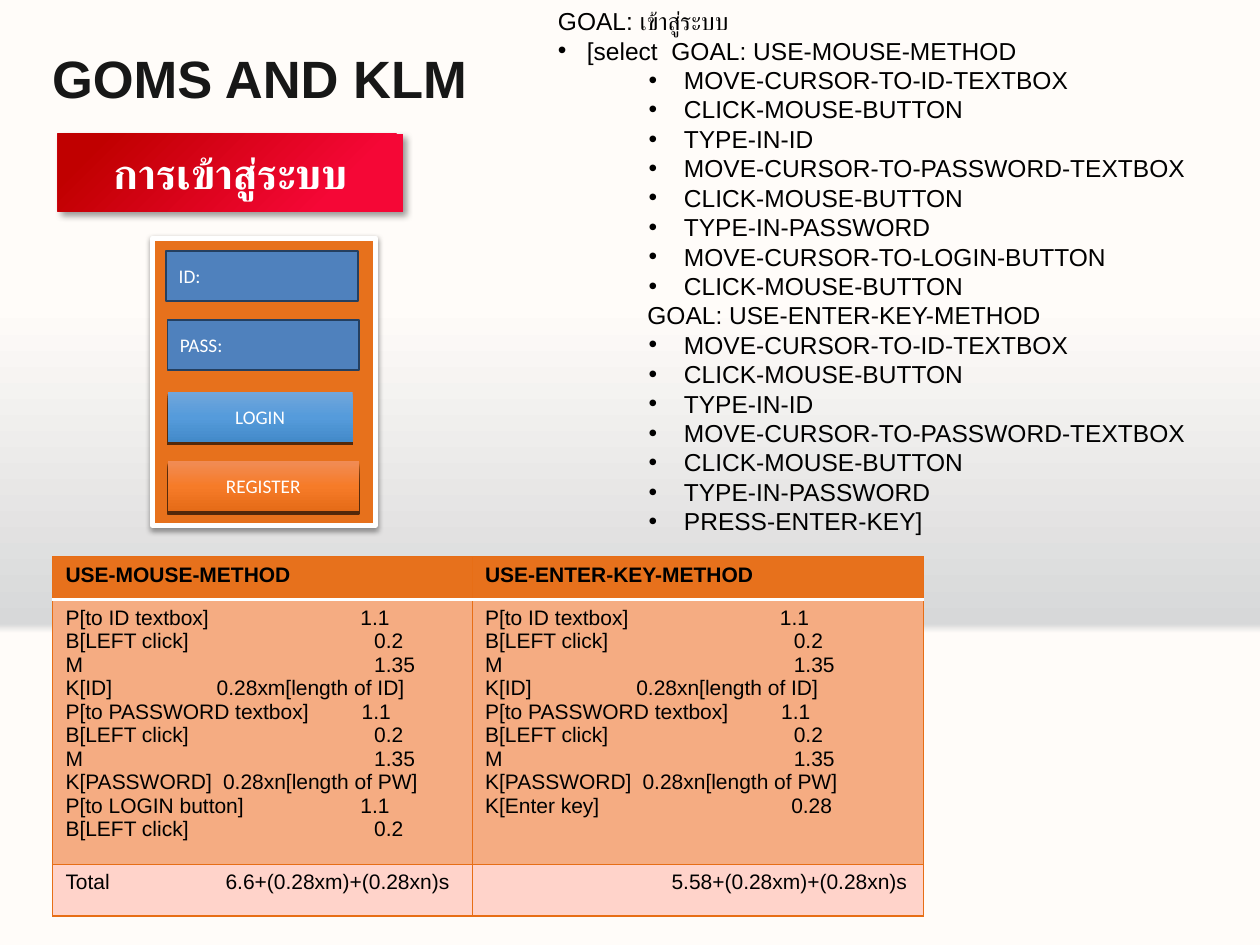
import pptx
import pptx.util
import pptx.dml.color
import pptx.enum.shapes
import pptx.enum.text
import pptx.oxml
import pptx.oxml.ns

Inches, Pt = pptx.util.Inches, pptx.util.Pt
RGB = pptx.dml.color.RGBColor
ALIGN, ANCHOR = pptx.enum.text.PP_ALIGN, pptx.enum.text.MSO_ANCHOR
qn = pptx.oxml.ns.qn
NS = pptx.oxml.ns.nsdecls("a")

BLACK, WHITE, INK = RGB(0, 0, 0), RGB(255, 255, 255), RGB(0x17, 0x17, 0x17)
CREAM, GREY = RGB(0xFF, 0xFC, 0xF9), RGB(0xD7, 0xD8, 0xD9)
RED, DARK = RGB(0xF5, 0x07, 0x36), RGB(0xC0, 0, 0)
ORANGE, EDGE = RGB(0xE7, 0x71, 0x1C), RGB(0xE7, 0x6E, 0x16)
PEACH, PINK = RGB(0xF5, 0xAC, 0x82), RGB(0xFF, 0xD3, 0xCA)
BLUE, NAVY = RGB(0x4F, 0x81, 0xBD), RGB(0x24, 0x3F, 0x60)
SKY = [(0, RGB(0x71, 0xA6, 0xDB)), (50, RGB(0x55, 0x9B, 0xDB)), (100, RGB(0x43, 0x8A, 0xC9))]
AMBER = [(0, RGB(0xF1, 0x8C, 0x55)), (50, RGB(0xF6, 0x7B, 0x28)), (100, RGB(0xE5, 0x6B, 0x17))]

# Content: login form, goal tree, timing table
FIELDS = [("ID:", 1.32, 1.99), ("PASS:", 1.33, 2.54)]
BUTTONS = [("LOGIN", 3.11, 1.47, SKY), ("REGISTER", 3.66, 1.52, AMBER)]

SIGN_IN = ["MOVE-CURSOR-TO-ID-TEXTBOX", "CLICK-MOUSE-BUTTON", "TYPE-IN-ID",
           "MOVE-CURSOR-TO-PASSWORD-TEXTBOX", "CLICK-MOUSE-BUTTON", "TYPE-IN-PASSWORD"]
GOALS = [
    ("top", ["GOAL: เข้าสู่ระบบ"]),
    ("pick", ["[select  GOAL: USE-MOUSE-METHOD"]),
    ("step", SIGN_IN + ["MOVE-CURSOR-TO-LOGIN-BUTTON", "CLICK-MOUSE-BUTTON"]),
    ("sub", ["GOAL: USE-ENTER-KEY-METHOD"]),
    ("step", SIGN_IN + ["PRESS-ENTER-KEY]"]),
]
LEVELS = {"top": (0, 0), "pick": (0.23, 0.23), "sub": (0.71, 0), "step": (1, 0.28)}

HEADS = ["USE-MOUSE-METHOD", "USE-ENTER-KEY-METHOD"]
CLICK, THINK = ("B[LEFT click]", "0.2", 2.45), ("M", "1.35", 2.45)


def times(unit):
    """Operators shared by both methods: label, time, tab stop."""
    return [("P[to ID textbox]", "1.1", 2.34), CLICK, THINK,
            ("K[ID]", f"0.28x{unit}[length of ID]", 1.2),
            ("P[to PASSWORD textbox]", "1.1", 2.35), CLICK, THINK,
            ("K[PASSWORD]", "0.28xn[length of PW]", 1.25)]


ROWS = [
    (0.34, ORANGE, True, [[(head, "", 0)] for head in HEADS]),
    (2.1, PEACH, False, [times("m") + [("P[to LOGIN button]", "1.1", 2.34), CLICK],
                         times("n") + [("K[Enter key]", "0.28", 2.43)]]),
    (0.41, PINK, False, [[("Total", "6.6+(0.28xm)+(0.28xn)s", 1.27)],
                         [("", "5.58+(0.28xm)+(0.28xn)s", 1.48)]]),
]
COLS = [3.33, 3.58]


# Helpers
def xml(tag, body="", **attrs):
    given = "".join(f' {key}="{val}"' for key, val in attrs.items())
    return pptx.oxml.parse_xml(f"<a:{tag} {NS}{given}>{body}</a:{tag}>")


def solid(color):
    return f'<a:solidFill><a:srgbClr val="{color}"/></a:solidFill>'


def shade(fill, root, stops, angle):
    fill.gradient()
    grad = next(root.iter(qn("a:gradFill")))
    body = "".join(f'<a:gs pos="{pos * 1000}"><a:srgbClr val="{color}"/></a:gs>'
                   for pos, color in stops)
    grad.replace(grad.find(qn("a:gsLst")), xml("gsLst", body))
    grad.find(qn("a:lin")).set("ang", str(angle * 60000))


def cast(shape, alpha, blur, dist, angle):
    tint = f'<a:srgbClr val="000000"><a:alpha val="{alpha * 1000}"/></a:srgbClr>'
    drop = (f'<a:outerShdw blurRad="{Pt(blur)}" dist="{Pt(dist)}" dir="{angle * 60000}"'
            f' algn="ctr" rotWithShape="0">{tint}</a:outerShdw>')
    effects = shape._element.spPr.find(qn("a:effectLst"))
    effects.append(pptx.oxml.parse_xml(drop.replace("<a:outerShdw", f"<a:outerShdw {NS}", 1)))


def write(para, text, size, color, font="Arial", bold=False):
    run = para.add_run()
    run.text = text
    run.font.size, run.font.name, run.font.bold = Pt(size), font, bold
    run.font.color.rgb = color


def box(slide, place, fill=None, line=None, width=1):
    shape = slide.shapes.add_shape(pptx.enum.shapes.MSO_SHAPE.RECTANGLE, *map(Inches, place))
    shape.shadow.inherit = False
    if isinstance(fill, RGB):
        shape.fill.solid()
        shape.fill.fore_color.rgb = fill
    if line is None:
        shape.line.fill.background()
    else:
        shape.line.color.rgb, shape.line.width = line, Pt(width)
    return shape


def label(shape, text, align):
    frame = shape.text_frame
    frame.vertical_anchor = ANCHOR.MIDDLE
    para = frame.paragraphs[0]
    para.alignment, para.space_after = align, Pt(10)
    write(para, text, 11, WHITE, "Calibri")


def heading(slide, place, text, size, color, font, spacing=1.0):
    frame = slide.shapes.add_textbox(*map(Inches, place)).text_frame
    frame.word_wrap, frame.vertical_anchor = True, ANCHOR.MIDDLE
    frame.margin_left = frame.margin_right = 0
    para = frame.paragraphs[0]
    para.alignment, para.line_spacing = ALIGN.CENTER, spacing
    write(para, text, size, color, font, True)


def main():
    deck = pptx.Presentation()
    deck.slide_width, deck.slide_height = Inches(10), Inches(7.5)
    slide = deck.slides.add_slide(deck.slide_layouts[6])
    shade(slide.background.fill, slide._element, [(33, CREAM), (34, GREY), (68, CREAM)], 270)

    # Title and red banner
    heading(slide, (0.27, 0.31, 3.58, 0.66), "GOMS AND KLM", 30, INK, "Arial", 0.95)
    banner = box(slide, (0.46, 1.06, 2.74, 0.62))
    shade(banner.fill, banner._element, [(11, RED), (20, RED), (89, DARK)], 225)
    cast(banner, 40, 4, 3, 45)
    heading(slide, (0.5, 1.07, 2.66, 0.6), "การเข้าสู่ระบบ", 24, WHITE, "Calibri")

    # Login form
    cast(box(slide, (1.21, 1.89, 1.77, 2.28), ORANGE, WHITE, 3), 38, 3.1, 1.6, 90)
    for text, left, top in FIELDS:
        label(box(slide, (left, top, 1.52, 0.4), BLUE, NAVY), text, ALIGN.LEFT)
    for text, top, width, stops in BUTTONS:
        button = box(slide, (1.33, top, width, 0.4))
        shade(button.fill, button._element, stops, 90)
        cast(button, 63, 0, 1.5, 90)
        label(button, text, ALIGN.CENTER)

    # Goal tree
    frame = slide.shapes.add_textbox(*map(Inches, (4.33, 0, 5.46, 4.58))).text_frame
    frame.word_wrap = True
    lines = [(level, text) for level, texts in GOALS for text in texts]
    for spot, (level, text) in enumerate(lines):
        para = frame.add_paragraph() if spot else frame.paragraphs[0]
        write(para, text, 14, BLACK)
        left, hang = LEVELS[level]
        props = para._p.get_or_add_pPr()
        props.set("marL", str(Inches(left)))
        props.set("indent", str(-Inches(hang)))
        if hang:
            props.append(xml("buFont", typeface="Arial"))
            props.append(xml("buChar", char="•"))

    # Timing table
    place = (0.42, 4.42, sum(COLS), sum(row[0] for row in ROWS))
    table = slide.shapes.add_table(len(ROWS), len(COLS), *map(Inches, place)).table
    for col, width in zip(table.columns, COLS):
        col.width = Inches(width)
    for r, (height, color, bold, cells) in enumerate(ROWS):
        table.rows[r].height = Inches(height)
        for c, items in enumerate(cells):
            cell = table.cell(r, c)
            cell.fill.solid()
            cell.fill.fore_color.rgb = color
            rules = {side: (EDGE, 0.75) for side in "LRTB"}
            if r < 2:
                rules["TB"[r == 0]] = (WHITE, 2)
            for n, (side, (tint, width)) in enumerate(rules.items()):
                cell._tc.get_or_add_tcPr().insert(n, xml("ln" + side, solid(tint), w=Pt(width)))
            for n, (name, time, stop) in enumerate(items):
                para = cell.text_frame.add_paragraph() if n else cell.text_frame.paragraphs[0]
                write(para, f"{name}\t{time}" if time else name, 12, BLACK, bold=bold)
                if time:
                    tab = f'<a:tab pos="{Inches(stop)}" algn="l"/>'
                    para._p.get_or_add_pPr().append(xml("tabLst", tab))

    deck.save("out.pptx")


if __name__ == "__main__":
    main()
